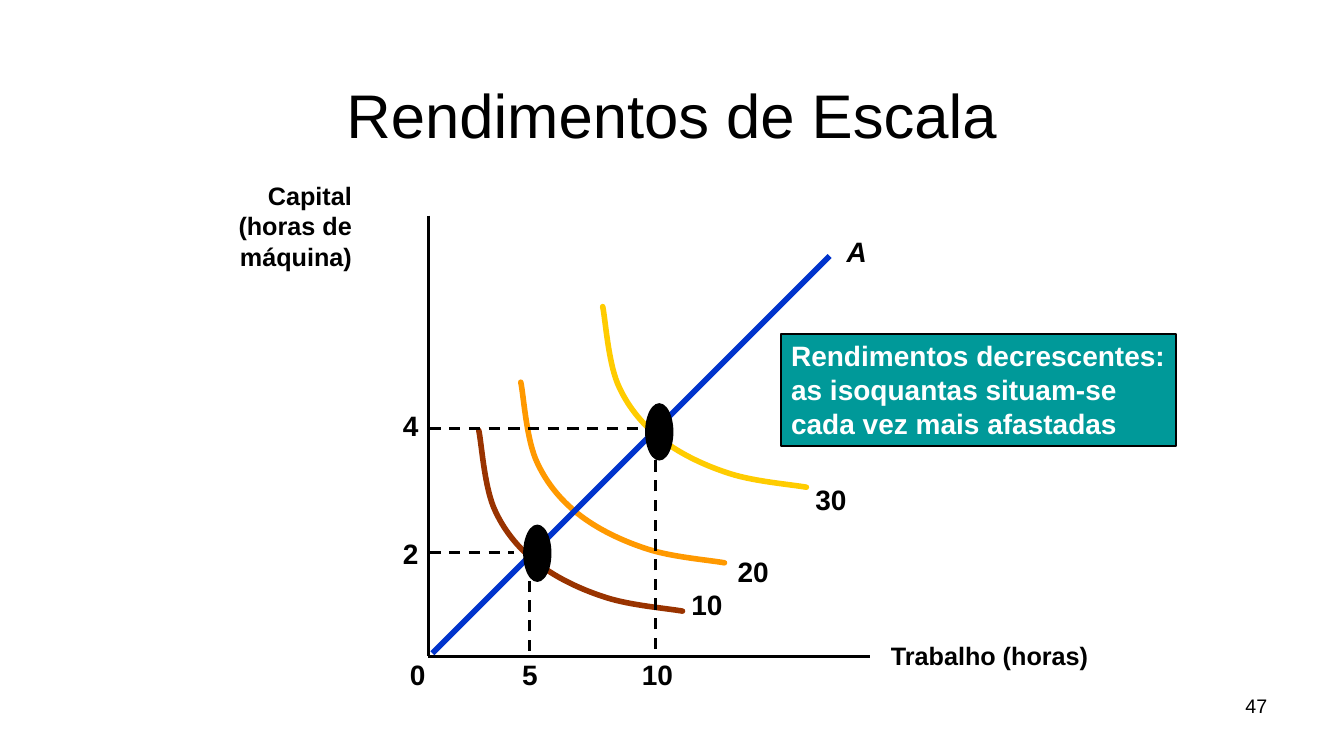
from lxml import etree
from pptx import Presentation
from pptx.dml.color import RGBColor
from pptx.enum import dml, shapes, text
from pptx.oxml import ns
from pptx.util import Pt

COLORS = {"black": "000000", "white": "FFFFFF", "teal": "009999", "blue": "0033CC",
          "brown": "993300", "orange": "FF9900", "yellow": "FFCC00"}
rgb = {name: RGBColor.from_string(value) for name, value in COLORS.items()}

prs = Presentation()
prs.slide_width, prs.slide_height = Pt(960), Pt(540)
s = prs.slides.add_slide(prs.slide_layouts[5])


def write(sp, content, size=20, color="black", bold=True, italic=False,
          align=text.PP_ALIGN.LEFT, anchor=text.MSO_ANCHOR.TOP, wrap=False):
    """Fill a shape with one paragraph per line of content."""
    tf = sp.text_frame
    tf.text = content
    tf.word_wrap = wrap
    tf.auto_size = text.MSO_AUTO_SIZE.NONE if wrap else text.MSO_AUTO_SIZE.SHAPE_TO_FIT_TEXT
    tf.vertical_anchor = anchor
    for p in tf.paragraphs:
        p.alignment = align
        for r in p.runs:
            r.font.name, r.font.size = "Arial", Pt(size)
            r.font.bold, r.font.italic = bold, italic
            r.font.color.rgb = rgb[color]


def draw_line(x1, y1, x2, y2, color="black", width=2, dashed=False):
    """Draw a straight line without shadow."""
    line = s.shapes.add_connector(shapes.MSO_CONNECTOR.STRAIGHT, Pt(x1), Pt(y1), Pt(x2), Pt(y2))
    line.line.color.rgb, line.line.width = rgb[color], Pt(width)
    if dashed:
        line.line.dash_style = dml.MSO_LINE.DASH
    etree.SubElement(line._element.spPr, ns.qn("a:effectLst"))


# Title
title = s.shapes.title
title.left, title.top, title.width, title.height = Pt(48), Pt(21.6), Pt(864), Pt(90)
write(title, "Rendimentos de Escala", size=44, bold=False, wrap=True,
      align=text.PP_ALIGN.CENTER, anchor=text.MSO_ANCHOR.BOTTOM)

# Axes
draw_line(306, 154, 306, 468.7)
draw_line(306, 468.7, 621.4, 468.7)

# Callout
callout = s.shapes.add_shape(shapes.MSO_SHAPE.RECTANGLE, Pt(558), Pt(238.5), Pt(282), Pt(80))
callout.shadow.inherit = False
callout.fill.solid()
callout.fill.fore_color.rgb = rgb["teal"]
callout.line.color.rgb, callout.line.width = rgb["black"], Pt(1)
write(callout, "Rendimentos decrescentes:\nas isoquantas situam-se\ncada vez mais afastadas",
      color="white")

# Isoquants: the same Bezier curve from three starting points
CURVE = [(2, 9), (4, 42), (12, 58), (19, 73), (30, 86), (43.5, 96),
         (57, 106), (74, 114), (91.5, 119.5), (109, 125), (134, 127), (145.5, 129)]
for x, y, color in [(342, 307.5, "brown"), (372, 273, "orange"), (430.5, 219, "yellow")]:
    builder = s.shapes.build_freeform(Pt(x), Pt(y))
    builder.add_line_segments([(Pt(x + dx), Pt(y + dy)) for dx, dy in CURVE], close=False)
    isoquant = builder.convert_to_shape()
    isoquant.shadow.inherit = False
    isoquant.fill.background()
    isoquant.line.color.rgb, isoquant.line.width = rgb[color], Pt(4)
    isoquant.line._ln.set("cap", "rnd")
    # Every three points form one cubic segment
    outline = isoquant._element.find(".//" + ns.qn("a:path"))
    steps = outline.findall(ns.qn("a:lnTo"))
    for i in range(0, len(steps), 3):
        cubic = etree.SubElement(outline, ns.qn("a:cubicBezTo"))
        for step in steps[i:i + 3]:
            cubic.append(step[0])
            outline.remove(step)

# Guides from the axes to the two points, then the ray A
for guide in [(378, 465, 378, 402.5), (306.7, 306, 457, 306),
              (468, 463.7, 468, 309.6), (306.7, 394.6, 367, 394.6)]:
    draw_line(*guide, dashed=True)
draw_line(308.9, 466.6, 592.6, 182.9, color="blue", width=4)

# Points on the ray
for x, y in [(460.8, 288), (373.7, 374.7)]:
    point = s.shapes.add_shape(shapes.MSO_SHAPE.OVAL, Pt(x), Pt(y), Pt(20.2), Pt(41))
    point.shadow.inherit = False
    point.fill.solid()
    point.fill.fore_color.rgb = rgb["black"]
    point.line.fill.background()

# Labels: axes, isoquants, ticks, ray and slide number
RIGHT = text.PP_ALIGN.RIGHT
for content, x, y, w, h, style in [
    ("Trabalho (horas)", 629.3, 453.6, 156.2, 29, {"size": 18}),
    ("Capital\n(horas de\nmáquina)", 162, 125.3, 96.5, 72.7, {"size": 18, "align": RIGHT}),
    ("10", 486.7, 416.2, 36.7, 31, {}),
    ("20", 519.8, 392.4, 36.7, 31, {}),
    ("30", 575.3, 341.3, 36.7, 31, {}),
    ("5", 365.8, 465.8, 25.9, 31, {}),
    ("10", 451.4, 465.8, 36.7, 31, {}),
    ("2", 280.8, 379.4, 25.9, 31, {}),
    ("4", 280.8, 288, 25.9, 31, {}),
    ("0", 285.8, 465.8, 25.9, 31, {}),
    ("A", 597.6, 164.2, 28.8, 31, {"italic": True}),
    ("47", 688.3, 491.8, 224, 37.4, {"size": 14, "bold": False, "align": RIGHT, "wrap": True}),
]:
    write(s.shapes.add_textbox(Pt(x), Pt(y), Pt(w), Pt(h)), content, **style)

prs.save("out.pptx")
